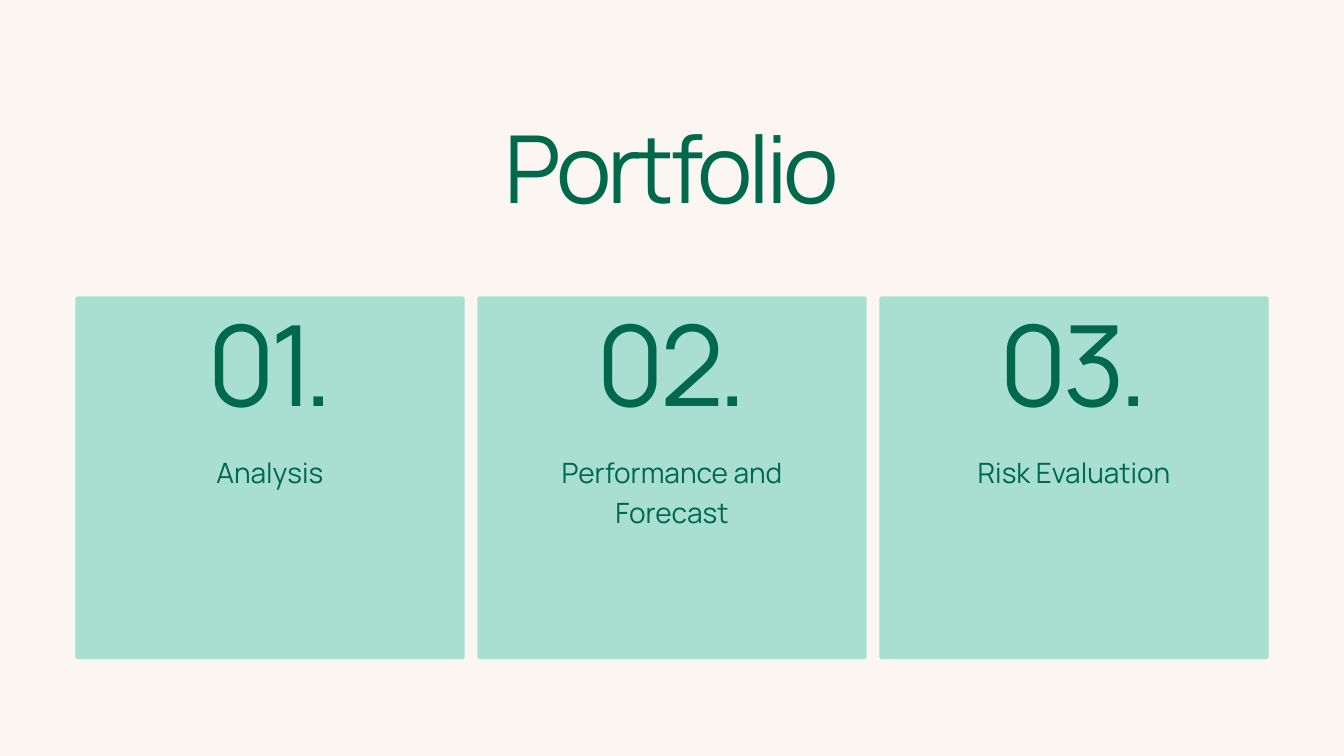
from pptx import Presentation
from pptx.dml.color import RGBColor
from pptx.enum.shapes import MSO_SHAPE
from pptx.enum.text import MSO_ANCHOR, MSO_AUTO_SIZE, PP_ALIGN
from pptx.util import Inches, Pt

COLUMNS, ROWS = 20, 11.25
CELL = Inches(1)
FONT = "Manrope"
COLORS = {"background": "FBF6F1", "card": "A9DFD0", "text": "00694C"}
CARD_AREA = (1.12, 4.41, 17.76, 5.4)
CARD_GAP = 0.19
CORNER = 0.04
CARDS = [
    ("01.", "Analysis", 1),
    ("02.", "Performance and Forecast", 2),
    ("03.", "Risk Evaluation", 1),
]


def color(name):
    """Return the named palette colour."""
    return RGBColor.from_string(COLORS[name])


def cells(*values):
    """Convert grid columns and rows to slide lengths."""
    return [round(value * CELL) for value in values]


def write_text(shape, text, *, size, line, spacing=0):
    """Fill a shape with one centred, formatted paragraph."""
    frame = shape.text_frame
    frame.margin_left = frame.margin_top = frame.margin_right = frame.margin_bottom = 0
    frame.word_wrap = True
    frame.auto_size = MSO_AUTO_SIZE.NONE
    frame.vertical_anchor = MSO_ANCHOR.TOP
    paragraph = frame.paragraphs[0]
    paragraph.alignment = PP_ALIGN.CENTER
    paragraph.line_spacing = Pt(line)
    run = paragraph.add_run()
    run.text = text
    run.font.name = FONT
    run.font.size = Pt(size)
    run.font.color.rgb = color("text")
    if spacing:
        run.font._element.set("spc", str(round(spacing * 100)))


def add_title(slide, text, box):
    """Place the slide title in the given box."""
    title = slide.shapes.title
    title.left, title.top, title.width, title.height = cells(*box)
    write_text(title, text, size=100.4, line=90.4, spacing=-4.6)


def add_card(slide, number, label, label_lines, box):
    """Draw one numbered card inside the given box."""
    left, top, width, height = box
    card = slide.shapes.add_shape(MSO_SHAPE.ROUNDED_RECTANGLE, *cells(*box))
    card.adjustments[0] = CORNER / min(width, height)
    card.shadow.inherit = False
    card.fill.solid()
    card.fill.fore_color.rgb = color("card")
    card.line.fill.background()

    center = left + width / 2
    number_width, label_width = 2.65, 4.48
    number_box = slide.shapes.add_textbox(
        *cells(center - number_width / 2, top + 0.48, number_width, 1.64))
    write_text(number_box, number, size=120, line=108, spacing=-5.5)
    label_box = slide.shapes.add_textbox(
        *cells(center - label_width / 2, top + 2.29, label_width, 0.58 * label_lines))
    write_text(label_box, label, size=30, line=42)


def add_cards(slide, box):
    """Share the given box equally among the cards."""
    left, top, width, height = box
    card_width = (width - CARD_GAP * (len(CARDS) - 1)) / len(CARDS)
    for index, (number, label, label_lines) in enumerate(CARDS):
        card_left = left + index * (card_width + CARD_GAP)
        add_card(slide, number, label, label_lines, (card_left, top, card_width, height))


def main():
    """Build and save the portfolio slide."""
    presentation = Presentation()
    presentation.slide_width, presentation.slide_height = cells(COLUMNS, ROWS)
    slide = presentation.slides.add_slide(presentation.slide_layouts.get_by_name("Title Only"))
    slide.background.fill.solid()
    slide.background.fill.fore_color.rgb = color("background")
    add_title(slide, "Portfolio", (2.42, 2.05, 15.15, 1.37))
    add_cards(slide, CARD_AREA)
    presentation.save("out.pptx")


if __name__ == "__main__":
    main()
